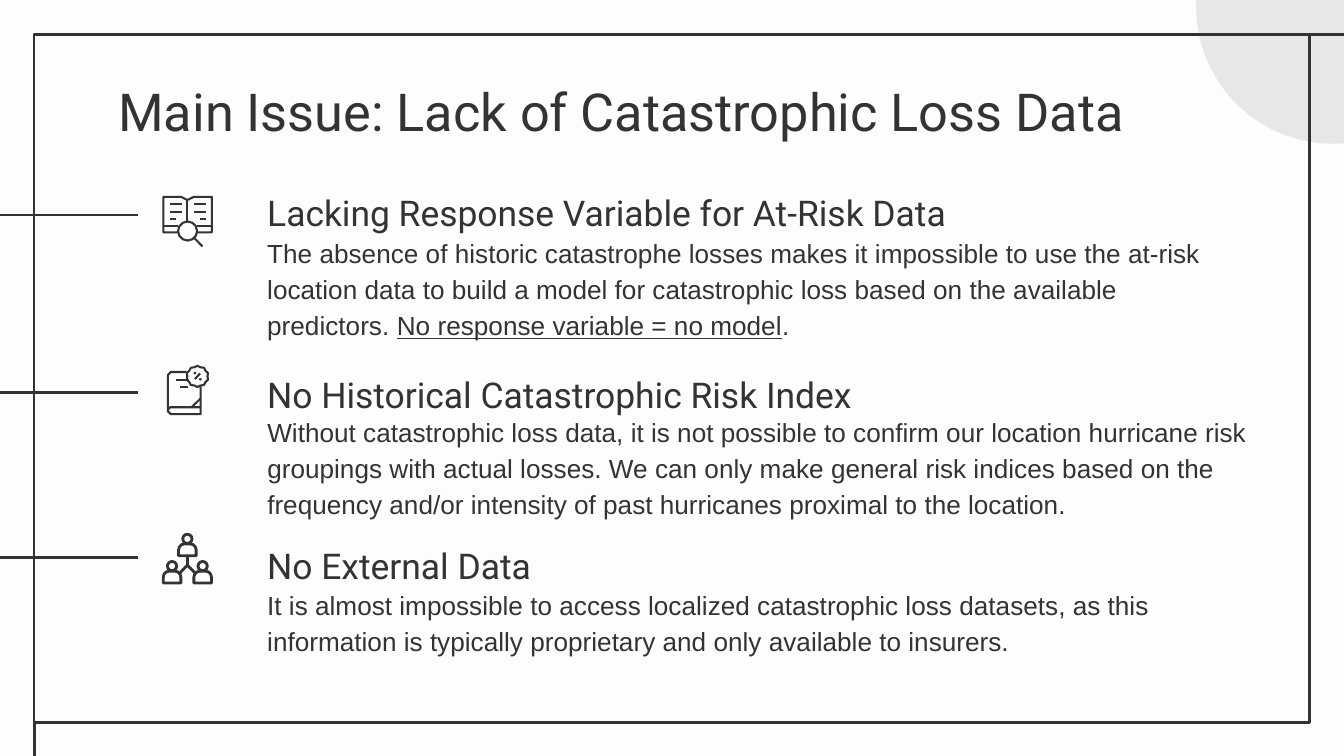
from dataclasses import dataclass

from lxml import etree
from pptx import Presentation
from pptx.dml.color import RGBColor
from pptx.enum.shapes import MSO_CONNECTOR, MSO_SHAPE
from pptx.enum.text import MSO_ANCHOR, MSO_AUTO_SIZE, PP_ALIGN
from pptx.oxml.ns import qn
from pptx.util import Pt

STRAIGHT = MSO_CONNECTOR.STRAIGHT
OVAL, RECT = MSO_SHAPE.OVAL, MSO_SHAPE.RECTANGLE
DOME, SEAL = MSO_SHAPE.ROUND_2_SAME_RECTANGLE, MSO_SHAPE.STAR_10_POINT
TOP, BOTTOM = MSO_ANCHOR.TOP, MSO_ANCHOR.BOTTOM
LEFT, NO_FIT = PP_ALIGN.LEFT, MSO_AUTO_SIZE.NONE


@dataclass(frozen=True)
class Theme:
    ink: RGBColor = RGBColor(0x33, 0x33, 0x33)
    paper: RGBColor = RGBColor(0xFD, 0xFD, 0xFD)
    accent: RGBColor = RGBColor(0xE8, 0xE7, 0xE7)
    heading_font: str = "Roboto"
    body_font: str = "Arial"
    title_size: float = 28
    heading_size: float = 19
    body_size: float = 14
    spacing: float = 1.15
    inset: float = 7.2
    rule: float = 1.5
    thin: float = 1.1


class Deck:
    def __init__(self, s, theme):
        self.s, self.theme = s, theme
        s.background.fill.solid()
        s.background.fill.fore_color.rgb = theme.paper

    def outline(self, sp, width):
        sp.shadow.inherit = False
        sp.fill.background()
        sp.line.color.rgb = self.theme.ink
        sp.line.width = Pt(width)

    def shape(self, kind, x, y, w, h, width=None, fill=None):
        sp = self.s.shapes.add_shape(kind, Pt(x), Pt(y), Pt(w), Pt(h))
        self.outline(sp, width or self.theme.thin)
        if fill is not None:
            sp.fill.solid()
            sp.fill.fore_color.rgb = fill
            sp.line.fill.background()
        return sp

    def circle(self, cx, cy, r, width=None, fill=None):
        return self.shape(OVAL, cx - r, cy - r, 2 * r, 2 * r, width, fill)

    def line(self, x1, y1, x2, y2, width=None):
        c = self.s.shapes.add_connector(STRAIGHT, Pt(x1), Pt(y1), Pt(x2), Pt(y2))
        c.line.color.rgb = self.theme.ink
        c.line.width = Pt(width or self.theme.thin)
        etree.SubElement(c._element.spPr, qn("a:effectLst"))

    def polyline(self, points):
        pts = [(Pt(x), Pt(y)) for x, y in points]
        fb = self.s.shapes.build_freeform(*pts[0])
        fb.add_line_segments(pts[1:], close=False)
        self.outline(fb.convert_to_shape(), self.theme.thin)

    def frame_text(self, sp, anchor):
        tf = sp.text_frame
        tf.word_wrap = True
        tf.auto_size = NO_FIT
        tf.vertical_anchor = anchor
        tf.margin_left = tf.margin_right = Pt(self.theme.inset)
        tf.margin_top = tf.margin_bottom = Pt(self.theme.inset)
        return tf

    def format_runs(self, p, font, size):
        p.alignment = LEFT
        for r in p.runs:
            r.font.name, r.font.size = font, Pt(size)
            r.font.color.rgb = self.theme.ink

    def title(self, text, x, y, w, h):
        sp = self.s.shapes.title
        sp.left, sp.top, sp.width, sp.height = Pt(x), Pt(y), Pt(w), Pt(h)
        tf = self.frame_text(sp, TOP)
        tf.text = text
        self.format_runs(tf.paragraphs[0], self.theme.heading_font, self.theme.title_size)

    def text(self, parts, x, y, w, h, font, size, anchor=TOP):
        sp = self.s.shapes.add_textbox(Pt(x), Pt(y), Pt(w), Pt(h))
        p = self.frame_text(sp, anchor).paragraphs[0]
        p.line_spacing = self.theme.spacing
        for i, part in enumerate(parts):
            r = p.add_run()
            r.text = part
            if i % 2:
                r.font.underline = True
        self.format_runs(p, font, size)

    def section(self, heading, heading_y, parts, body_y, width, height):
        t = self.theme
        self.text([heading], 136.1, heading_y, 520.5, 41.8,
                  t.heading_font, t.heading_size, BOTTOM)
        self.text(parts, 136.1, body_y, width, height, t.body_font, t.body_size)

    def search_icon(self):
        self.polyline([(95.5, 124.5), (87.5, 124.5), (87.5, 105.5), (97, 105.5),
                       (100.4, 107.2), (103.8, 105.5), (113.5, 105.5),
                       (113.5, 124.5), (105.5, 124.5)])
        self.line(100.4, 107.2, 100.4, 118.6)
        for x in (87.5, 105.5):
            self.line(x, 121.3, x + 8, 121.3)
        for i in range(3):
            y = 109.4 + 4 * i
            short = 3.2 if i == 2 else 0
            self.line(91, y, 97.6 - short, y)
            self.line(104 + short, y, 110.6, y)
        self.circle(100.5, 123.8, 5.1)
        self.line(104.2, 127.6, 108.5, 132)

    def book_icon(self):
        self.polyline([(100, 199.3), (91.5, 199.3), (89.9, 201), (89.9, 220.3),
                       (91.5, 221.9), (107.5, 221.9), (107.5, 207)])
        self.polyline([(107.5, 218.2), (91.2, 218.2), (89.9, 219.5)])
        self.line(107.5, 213.5, 102.6, 218.2)
        self.line(94.5, 203.4, 101, 203.4)
        self.line(96.5, 207.2, 100.6, 207.2)
        self.shape(SEAL, 100.1, 196, 11.4, 11.4).adjustments[0] = 0.45
        self.line(104.4, 203.1, 107.2, 200.1)
        for x, y in ((104.4, 199.9), (107.3, 203.2)):
            self.circle(x, y, 0.7, fill=self.theme.ink)

    def people_icon(self):
        w = self.theme.rule
        for x, y in ((100.4, 288.7), (92.2, 303.3), (108.6, 303.3)):
            self.circle(x, y, 2.5, w)
            body = self.shape(DOME, x - 4.7, y + 2.7, 9.4, 6.4, w)
            body.adjustments[0] = 0.5
        self.line(100.4, 297.8, 100.4, 302.8, w)
        for x in (96.5, 104.3):
            self.line(100.4, 302.8, x, 306.8, w)


def main():
    prs = Presentation()
    prs.slide_width, prs.slide_height = Pt(720), Pt(405)
    theme = Theme()
    deck = Deck(prs.slides.add_slide(prs.slide_layouts[5]), theme)

    deck.circle(714.2, 3.6, 73.4, fill=theme.accent)
    for y in (115.2, 210.2, 298.6):
        deck.line(0, y, 74, y, theme.rule)
    deck.shape(RECT, 18.2, 18.3, 683.3, 368.7, theme.rule)
    deck.line(720, 18.3, 701.5, 18.3, theme.rule)
    deck.line(18.5, 387, 18.5, 405, theme.rule)

    deck.title("Main Issue: Lack of Catastrophic Loss Data", 56.2, 35.3, 607, 45.4)
    deck.section(
        "Lacking Response Variable for At-Risk Data", 90.7,
        ["The absence of historic catastrophe losses makes it impossible to use the "
         "at-risk location data to build a model for catastrophic loss based on the "
         "available predictors. ", "No response variable = no model", "."],
        117.4, 520.5, 66.2)
    deck.section(
        "No Historical Catastrophic Risk Index", 187.9,
        ["Without catastrophic loss data, it is not possible to confirm our location "
         "hurricane risk groupings with actual losses. We can only make general risk "
         "indices based on the frequency and/or intensity of past hurricanes proximal "
         "to the location."],
        213.1, 550.8, 66.2)
    deck.section(
        "No External Data", 279.4,
        ["It is almost impossible to access localized catastrophic loss datasets, as "
         "this information is typically proprietary and only available to insurers."],
        306, 520.5, 41.8)

    deck.search_icon()
    deck.book_icon()
    deck.people_icon()
    prs.save("out.pptx")


if __name__ == "__main__":
    main()
